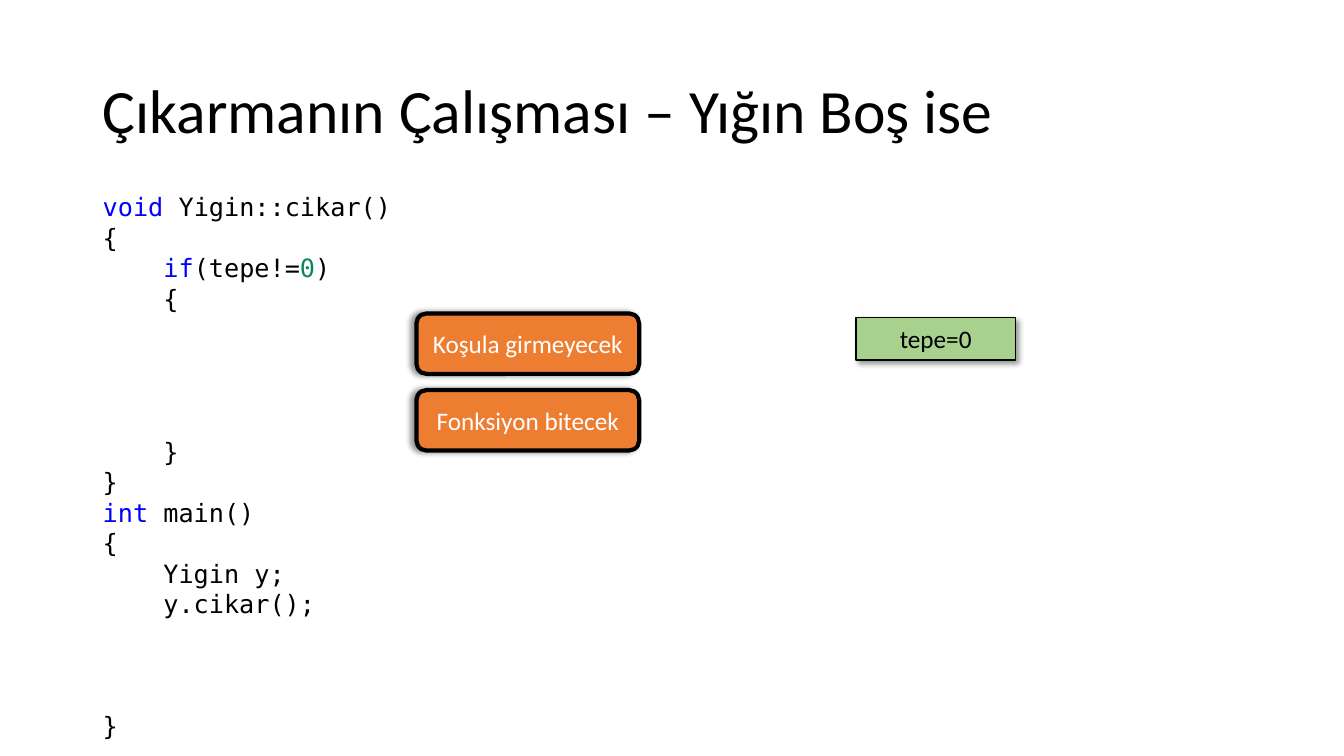
from lxml import etree
from pptx import Presentation
from pptx import util as u
from pptx.dml.color import RGBColor
from pptx.enum import shapes, text
from pptx.oxml.ns import qn

BLACK = RGBColor(0, 0, 0)
WHITE = RGBColor(255, 255, 255)
KEYWORD = RGBColor(0x00, 0x00, 0xFF)
NUMBER = RGBColor(0x09, 0x86, 0x58)
GREEN = RGBColor(0xA9, 0xD1, 0x8E)
ORANGE = RGBColor(0xED, 0x7D, 0x31)

TITLE = "Çıkarmanın Çalışması – Yığın Boş ise"
TITLE_BOX = (0.92, 0.4, 11.5, 1.45)

# Each code line: (open rows above it, [(text, colour), ...])
POP_CODE = [
    (0, [("void ", KEYWORD), ("Yigin::cikar()", BLACK)]),
    (0, [("{", BLACK)]),
    (0, [("    ", BLACK), ("if", KEYWORD), ("(tepe!=", BLACK),
         ("0", NUMBER), (")", BLACK)]),
    (0, [("    {", BLACK)]),
    (4, [("    }", BLACK)]),
    (0, [("}", BLACK)]),
]
MAIN_CODE = [
    (0, [("int", KEYWORD), (" main()", BLACK)]),
    (0, [("{", BLACK)]),
    (0, [("    Yigin y;", BLACK)]),
    (0, [("    y.cikar();", BLACK)]),
    (3, [("}", BLACK)]),
]
CODE_BOXES = [
    ((0.92, 4.88, 6.67, 2.52), MAIN_CODE),
    ((0.92, 1.85, 4.98, 3.13), POP_CODE),
]
ROW_PT = 21.8

STEPS = ["Koşula girmeyecek", "Fonksiyon bitecek"]
STEP_LEFT, STEP_TOP, STEP_W, STEP_H = 4.13, 3.11, 2.21, 0.6
STEP_PITCH = 0.76
TOP_VALUE = "tepe=0"
TOP_VALUE_BOX = (8.49, 3.15, 1.58, 0.42)


def inches(box):
    return [u.Inches(v) for v in box]


def add_run(p, content, colour, size=18, font="Calibri"):
    r = p.add_run()
    r.text = content
    r.font.name = font
    r.font.size = u.Pt(size)
    r.font.color.rgb = colour


def add_code(slide, box, lines):
    tf = slide.shapes.add_textbox(*inches(box)).text_frame
    tf.word_wrap = True
    for i, (open_rows, runs) in enumerate(lines):
        p = tf.add_paragraph() if i else tf.paragraphs[0]
        p.line_spacing = u.Pt(ROW_PT)
        if open_rows:
            p.space_before = u.Pt(open_rows * ROW_PT)
        for content, colour in runs:
            add_run(p, content, colour, font="DejaVu Sans Mono")


def add_shadow(sp, degrees):
    sp.shadow.inherit = False
    effects = sp._element.spPr.find(qn("a:effectLst"))
    shadow = etree.SubElement(
        effects, qn("a:outerShdw"), blurRad=str(u.Pt(4)), dist=str(u.Pt(3)),
        dir=str(degrees * 60000), rotWithShape="0")
    colour = etree.SubElement(shadow, qn("a:srgbClr"), val=str(BLACK))
    etree.SubElement(colour, qn("a:alpha"), val="40000")


def add_label(slide, kind, box, content, fill, colour, line_pt, shadow_deg):
    sp = slide.shapes.add_shape(kind, *inches(box))
    sp.fill.solid()
    sp.fill.fore_color.rgb = fill
    sp.line.color.rgb = BLACK
    sp.line.width = u.Pt(line_pt)
    add_shadow(sp, shadow_deg)
    tf = sp.text_frame
    tf.word_wrap = True
    tf.vertical_anchor = text.MSO_ANCHOR.MIDDLE
    p = tf.paragraphs[0]
    p.alignment = text.PP_ALIGN.CENTER
    add_run(p, content, colour)


def main():
    prs = Presentation()
    prs.slide_width, prs.slide_height = u.Inches(13.33), u.Inches(7.5)
    slide = prs.slides.add_slide(prs.slide_layouts[5])

    title = slide.shapes.title
    title.left, title.top, title.width, title.height = inches(TITLE_BOX)
    tf = title.text_frame
    tf.vertical_anchor = text.MSO_ANCHOR.MIDDLE
    p = tf.paragraphs[0]
    p.alignment = text.PP_ALIGN.LEFT
    p.line_spacing = 0.9
    add_run(p, TITLE, BLACK, size=44)

    for box, lines in CODE_BOXES:
        add_code(slide, box, lines)

    add_label(slide, shapes.MSO_SHAPE.RECTANGLE, TOP_VALUE_BOX, TOP_VALUE,
              GREEN, BLACK, 1, 45)
    for i, step in enumerate(STEPS):
        box = (STEP_LEFT, STEP_TOP + i * STEP_PITCH, STEP_W, STEP_H)
        add_label(slide, shapes.MSO_SHAPE.ROUNDED_RECTANGLE, box, step,
                  ORANGE, WHITE, 3, 180)

    prs.save("out.pptx")


if __name__ == "__main__":
    main()
